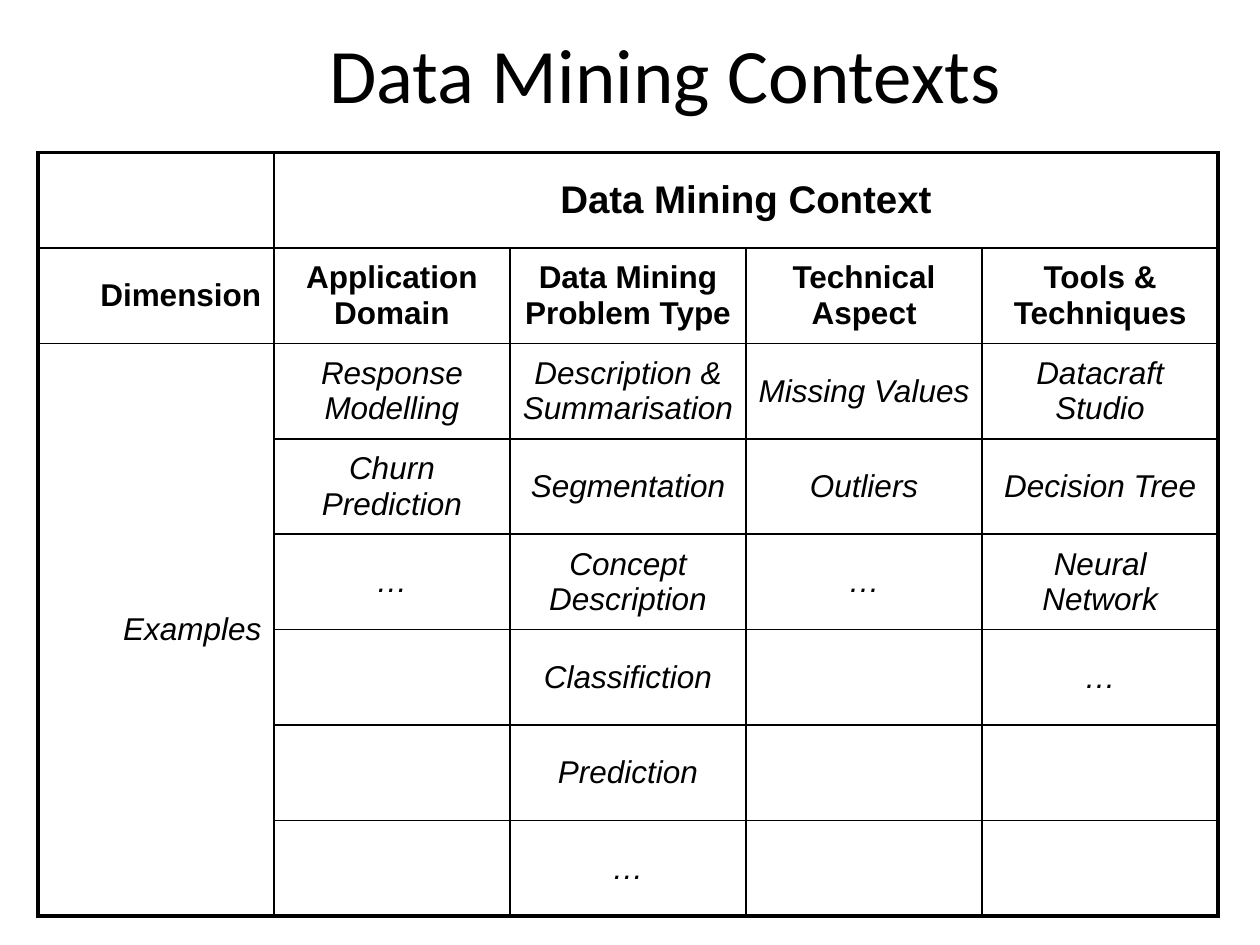
"""Builds the slide "Data Mining Contexts": a title above a bordered table."""
from lxml.etree import SubElement
from pptx import Presentation
from pptx.dml.color import RGBColor
from pptx.enum.text import MSO_ANCHOR as Anchor, PP_ALIGN as Align
from pptx.oxml.ns import qn
from pptx.util import Inches, Pt

TITLE = "Data Mining Contexts"
ROWS = [
    ["", "Data Mining Context", "", "", ""],
    ["Dimension", "Application Domain", "Data Mining Problem Type",
     "Technical Aspect", "Tools & Techniques"],
    ["Examples", "Response Modelling", "Description & Summarisation",
     "Missing Values", "Datacraft Studio"],
    ["", "Churn Prediction", "Segmentation", "Outliers", "Decision Tree"],
    ["", "…", "Concept Description", "…", "Neural Network"],
    ["", "", "Classifiction", "", "…"],
    ["", "", "Prediction", "", ""],
    ["", "", "…", "", ""],
]
HEADER_ROWS = 2
ROW_COUNT, COLUMN_COUNT = len(ROWS), len(ROWS[0])
BLACK = RGBColor(0, 0, 0)
THIN, THICK = 1, 2.25


def style_font(font, name, size, bold=False, italic=False):
    font.name, font.size, font.bold, font.italic = name, Pt(size), bold, italic
    font.color.rgb = BLACK


def add_title(slide):
    box = slide.shapes.add_textbox(Inches(0.66), Inches(0.1), Inches(9.24), Inches(0.95))
    frame = box.text_frame
    frame.word_wrap = True
    frame.vertical_anchor = Anchor.MIDDLE
    para = frame.paragraphs[0]
    para.text = TITLE
    para.alignment = Align.CENTER
    style_font(para.font, "Calibri", 44)


def set_borders(cell, row, column):
    bottom = row + (cell.span_height if cell.is_merge_origin else 1)
    right = column + (cell.span_width if cell.is_merge_origin else 1)
    on_edge = {"L": column == 0, "R": right == COLUMN_COUNT,
               "T": row == 0, "B": bottom == ROW_COUNT}
    properties = cell._tc.get_or_add_tcPr()
    for side, outer in on_edge.items():
        line = SubElement(properties, qn(f"a:ln{side}"), w=str(Pt(THICK if outer else THIN)))
        fill = SubElement(line, qn("a:solidFill"))
        SubElement(fill, qn("a:srgbClr"), val=str(BLACK))


def fill_cell(cell, text, row, column):
    set_borders(cell, row, column)
    cell.fill.background()
    cell.vertical_anchor = Anchor.MIDDLE
    para = cell.text_frame.paragraphs[0]
    para.text = text
    para.alignment = Align.RIGHT if column == 0 else Align.CENTER
    header = row < HEADER_ROWS
    style_font(para.font, "Arial", 22 if row == 0 else 18, header, not header)


def add_context_table(slide):
    frame = slide.shapes.add_table(ROW_COUNT, COLUMN_COUNT, Inches(0.3), Inches(1.21),
                                   Inches(9.37), Inches(6.06))
    table = frame.table
    table.first_row = table.horz_banding = False
    table.cell(0, 1).merge(table.cell(0, COLUMN_COUNT - 1))
    table.cell(HEADER_ROWS, 0).merge(table.cell(ROW_COUNT - 1, 0))
    for row, texts in enumerate(ROWS):
        for column, text in enumerate(texts):
            fill_cell(table.cell(row, column), text, row, column)


def main():
    deck = Presentation()
    deck.slide_width, deck.slide_height = Inches(10), Inches(7.5)
    slide = deck.slides.add_slide(deck.slide_layouts[6])
    add_title(slide)
    add_context_table(slide)
    deck.save("out.pptx")


if __name__ == "__main__":
    main()
